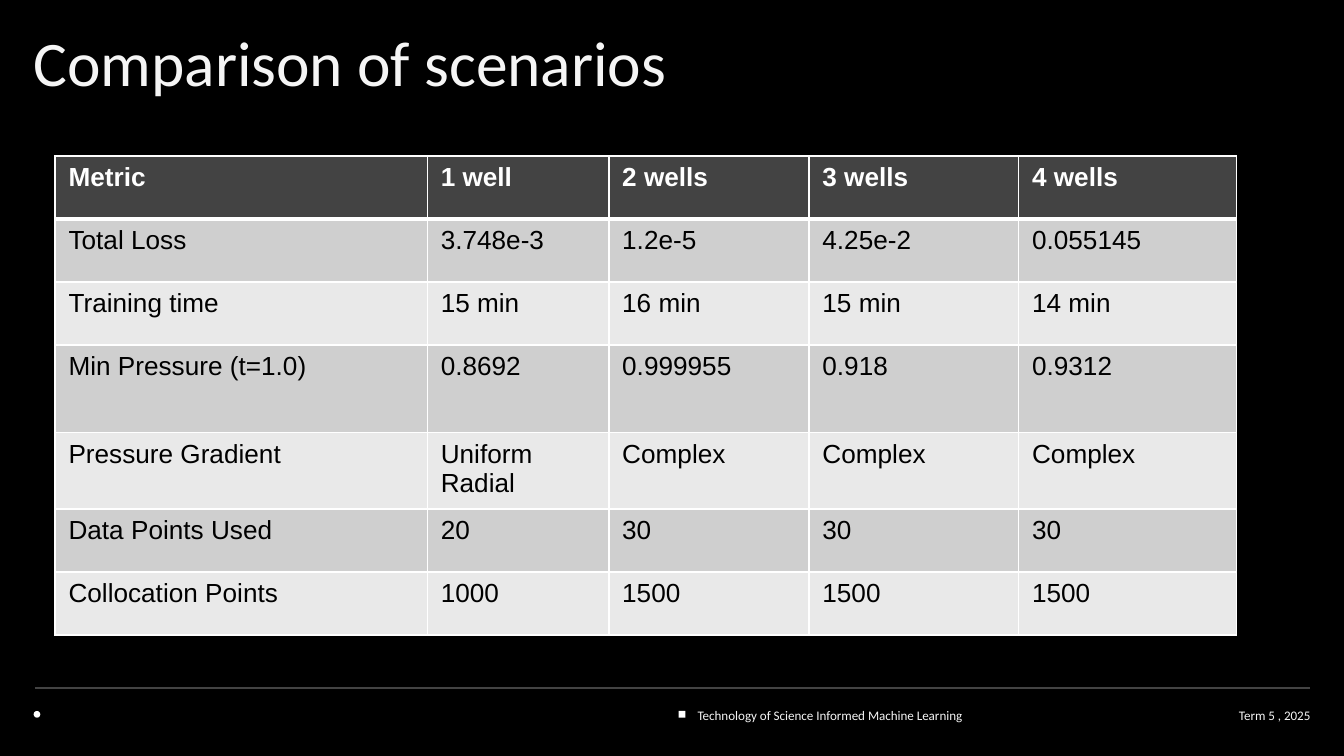
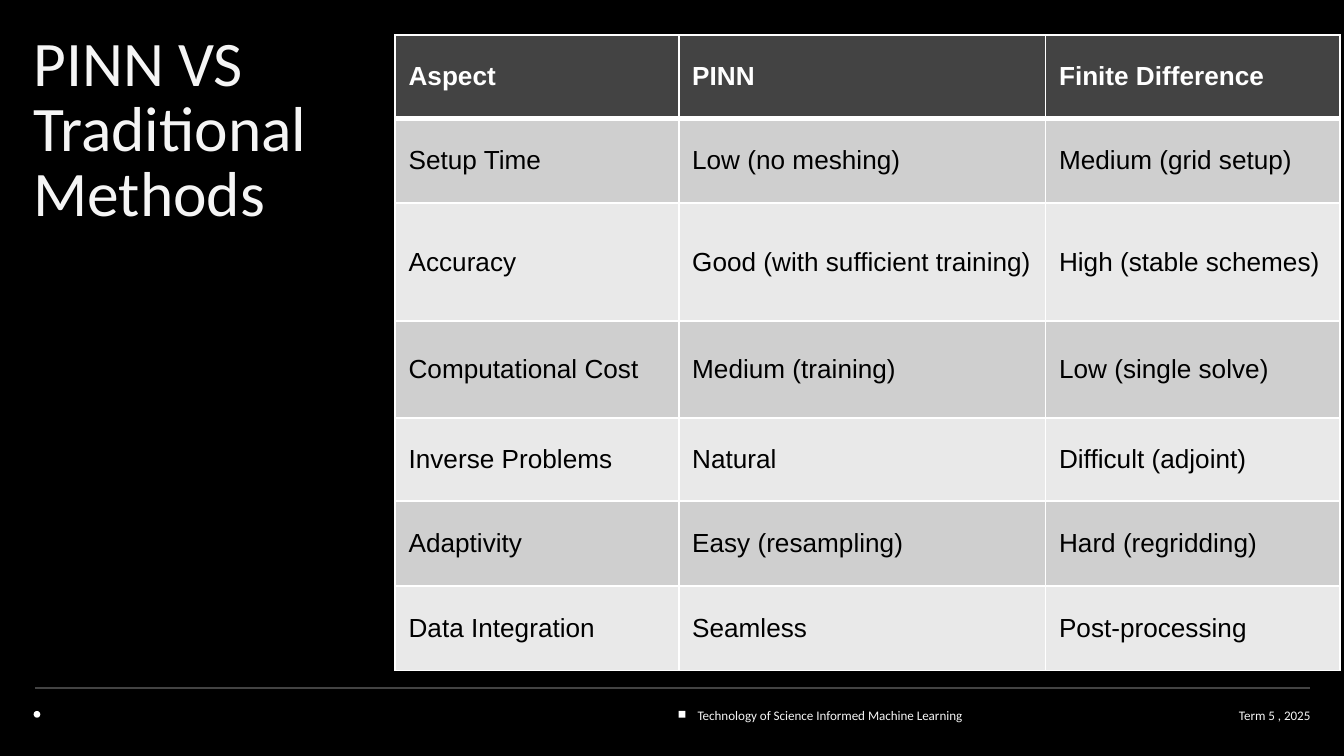
from dataclasses import dataclass

from lxml import etree
from pptx import Presentation
from pptx.dml.color import RGBColor as Rgb
from pptx.enum.shapes import MSO_CONNECTOR as Connector, MSO_SHAPE as Shape
from pptx.enum.text import MSO_ANCHOR as Anchor, MSO_AUTO_SIZE as AutoSize, PP_ALIGN as Align
from pptx.oxml.ns import qn
from pptx.util import Inches, Pt


@dataclass(frozen=True)
class Theme:
    background: str = "000000"
    heading: str = "F5F5F5"
    dark: str = "434343"
    white: str = "FFFFFF"
    cell_text: str = "000000"
    bands: tuple = ("CFCFCF", "E9E9E9")
    text_font: str = "Calibri"
    table_font: str = "Arial"
    title_size: int = 34
    table_size: int = 14
    footer_size: int = 7
    thin: int = 1
    thick: int = 3


THEME = Theme()


def paint(fill, color):
    fill.solid()
    fill.fore_color.rgb = Rgb.from_string(color)


def style_text(para, font, size, color, bold=False):
    for span in para.runs:
        span.font.name = font
        span.font.size = Pt(size)
        span.font.bold = bold
        span.font.color.rgb = Rgb.from_string(color)


def set_margins(frame, right=0, bottom=0):
    frame.margin_left = frame.margin_top = 0
    frame.margin_right, frame.margin_bottom = Inches(right), Inches(bottom)


def place(shape, box):
    shape.left, shape.top, shape.width, shape.height = map(Inches, box)


# Title
def set_title(page, box, text):
    title = page.shapes.title
    place(title, box)
    frame = title.text_frame
    frame.text = text
    frame.word_wrap = True
    frame.auto_size = AutoSize.SHAPE_TO_FIT_TEXT
    frame.vertical_anchor = Anchor.TOP
    set_margins(frame, right=0.1, bottom=0.1)
    para = frame.paragraphs[0]
    para.alignment = Align.LEFT
    para.line_spacing = 0.85
    style_text(para, THEME.text_font, THEME.title_size, THEME.heading)


# Footer: rule, two markers, course and term
def add_footer_text(page, box, text, align):
    frame = page.shapes.add_textbox(*map(Inches, box)).text_frame
    frame.text = text
    frame.word_wrap = True
    frame.vertical_anchor = Anchor.TOP
    set_margins(frame)
    para = frame.paragraphs[0]
    para.alignment = align
    para.line_spacing = 1.15
    style_text(para, THEME.text_font, THEME.footer_size, THEME.heading)


def add_footer(page, box):
    left, top, width, height = box
    right = left + width
    rule = page.shapes.add_connector(
        Connector.STRAIGHT, *map(Inches, (left + 0.01, top, right, top)))
    rule.line.color.rgb = Rgb.from_string(THEME.dark)
    rule.line.width = Pt(0.75)
    etree.SubElement(rule.element.spPr, qn("a:effectLst"))

    for kind, offset in ((Shape.OVAL, 0), (Shape.RECTANGLE, 4.8)):
        marker = page.shapes.add_shape(
            kind, *map(Inches, (left + offset, top + 0.17, 0.05, 0.05)))
        marker.shadow.inherit = False
        paint(marker.fill, THEME.white)
        marker.line.fill.background()

    text_top, text_height = top + 0.13, height - 0.13
    add_footer_text(page, (left + 4.94, text_top, 2.51, text_height),
                    "Technology of Science Informed Machine Learning", Align.LEFT)
    add_footer_text(page, (right - 2.25, text_top, 2.25, text_height),
                    "Term 5 , 2025", Align.RIGHT)


# Table
def set_borders(cell, top, bottom):
    properties = cell._tc.get_or_add_tcPr()
    widths = {"lnL": THEME.thin, "lnR": THEME.thin, "lnT": top, "lnB": bottom}
    for side, width in widths.items():
        line = etree.SubElement(properties, qn(f"a:{side}"), w=str(Pt(width)))
        fill = etree.SubElement(line, qn("a:solidFill"))
        etree.SubElement(fill, qn("a:srgbClr"), val=THEME.white)


def format_cell(cell, row, anchor):
    is_header = row == 0
    set_borders(cell, top=THEME.thick if row == 1 else THEME.thin,
                bottom=THEME.thick if is_header else THEME.thin)
    paint(cell.fill, THEME.dark if is_header else THEME.bands[(row - 1) % 2])
    cell.vertical_anchor = anchor
    style_text(cell.text_frame.paragraphs[0], THEME.table_font, THEME.table_size,
               THEME.white if is_header else THEME.cell_text, bold=is_header)


def add_data_table(page, corner, widths, heights, rows, anchor):
    box = (*corner, sum(widths), sum(heights))
    table = page.shapes.add_table(len(rows), len(widths), *map(Inches, box)).table
    for column, width in zip(table.columns, widths):
        column.width = Inches(width)
    for row, height in zip(table.rows, heights):
        row.height = Inches(height)
    for r, values in enumerate(rows):
        for c, value in enumerate(values):
            cell = table.cell(r, c)
            cell.text_frame.text = value
            format_cell(cell, r, anchor)


# Slide frame
def add_page(deck, title, title_box):
    page = deck.slides.add_slide(deck.slide_layouts[5])
    paint(page.background.fill, THEME.background)
    add_footer(page, (0.25, 5.12, 9.5, 0.38))
    set_title(page, title_box, title)
    return page


SCENARIOS = (
    ("Metric", "1 well", "2 wells", "3 wells", "4 wells"),
    ("Total Loss", "3.748e-3", "1.2e-5", "4.25e-2", "0.055145"),
    ("Training time", "15 min", "16 min", "15 min", "14 min"),
    ("Min Pressure (t=1.0)", "0.8692", "0.999955", "0.918", "0.9312"),
    ("Pressure Gradient", "Uniform Radial", "Complex", "Complex", "Complex"),
    ("Data Points Used", "20", "30", "30", "30"),
    ("Collocation Points", "1000", "1500", "1500", "1500"),
)

METHODS = (
    ("Aspect", "PINN", "Finite Difference"),
    ("Setup Time", "Low (no meshing)", "Medium (grid setup)"),
    ("Accuracy", "Good (with sufficient training)", "High (stable schemes)"),
    ("Computational Cost", "Medium (training)", "Low (single solve)"),
    ("Inverse Problems", "Natural", "Difficult (adjoint)"),
    ("Adaptivity", "Easy (resampling)", "Hard (regridding)"),
    ("Data Integration", "Seamless", "Post-processing"),
)


def main():
    deck = Presentation()
    deck.slide_width = Inches(10)
    deck.slide_height = deck.slide_width * 9 // 16

    # Scenario comparison
    page = add_page(deck, "Comparison of scenarios", (0.25, 0.26, 5.42, 0.59))
    add_data_table(page, (0.41, 1.16), (2.77, 1.35, 1.49, 1.56, 1.62),
                   [0.47] * 3 + [0.65] + [0.47] * 3, SCENARIOS, Anchor.TOP)

    # Method comparison
    page = add_page(deck, "PINN VS Traditional Methods", (0.25, 0.26, 2.54, 1.56))
    add_data_table(page, (2.94, 0.26), (2.11, 2.73, 2.19),
                   [0.62, 0.63, 0.88, 0.72, 0.62, 0.63, 0.63], METHODS, Anchor.MIDDLE)

    deck.save("out.pptx")


if __name__ == "__main__":
    main()
